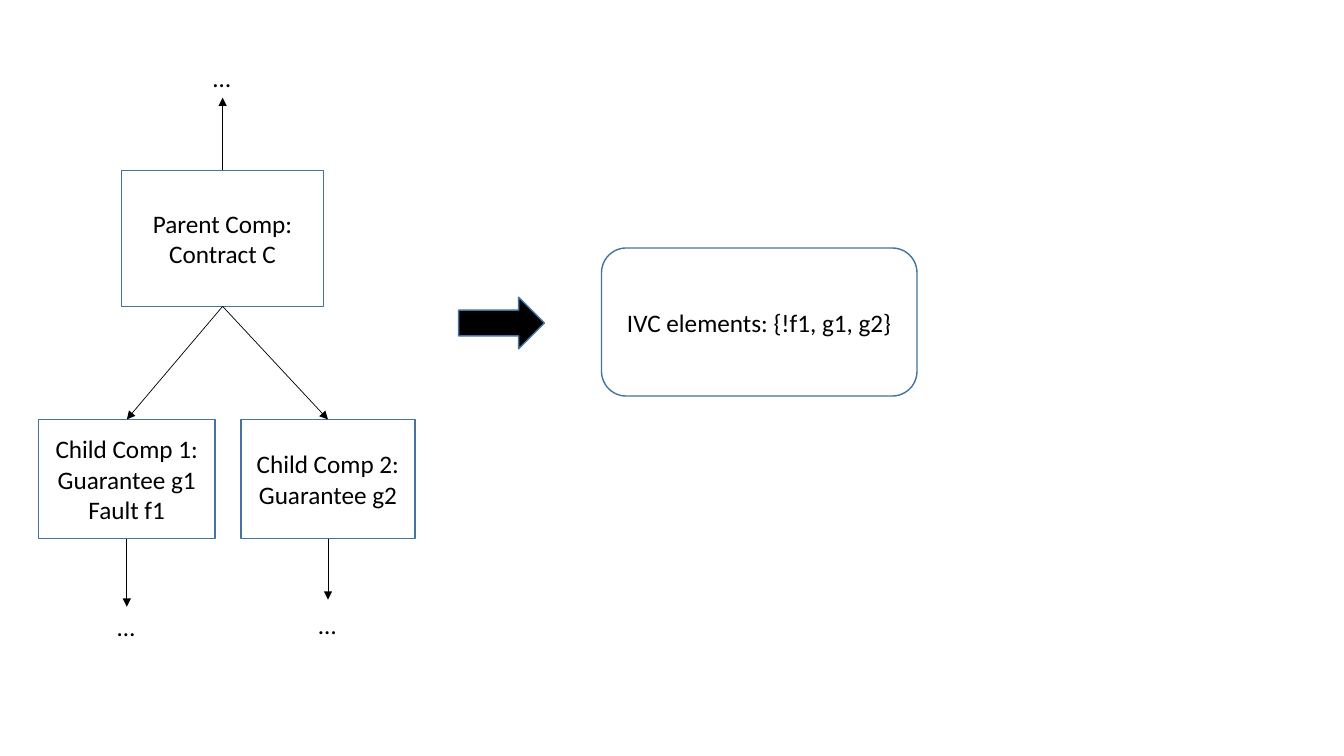
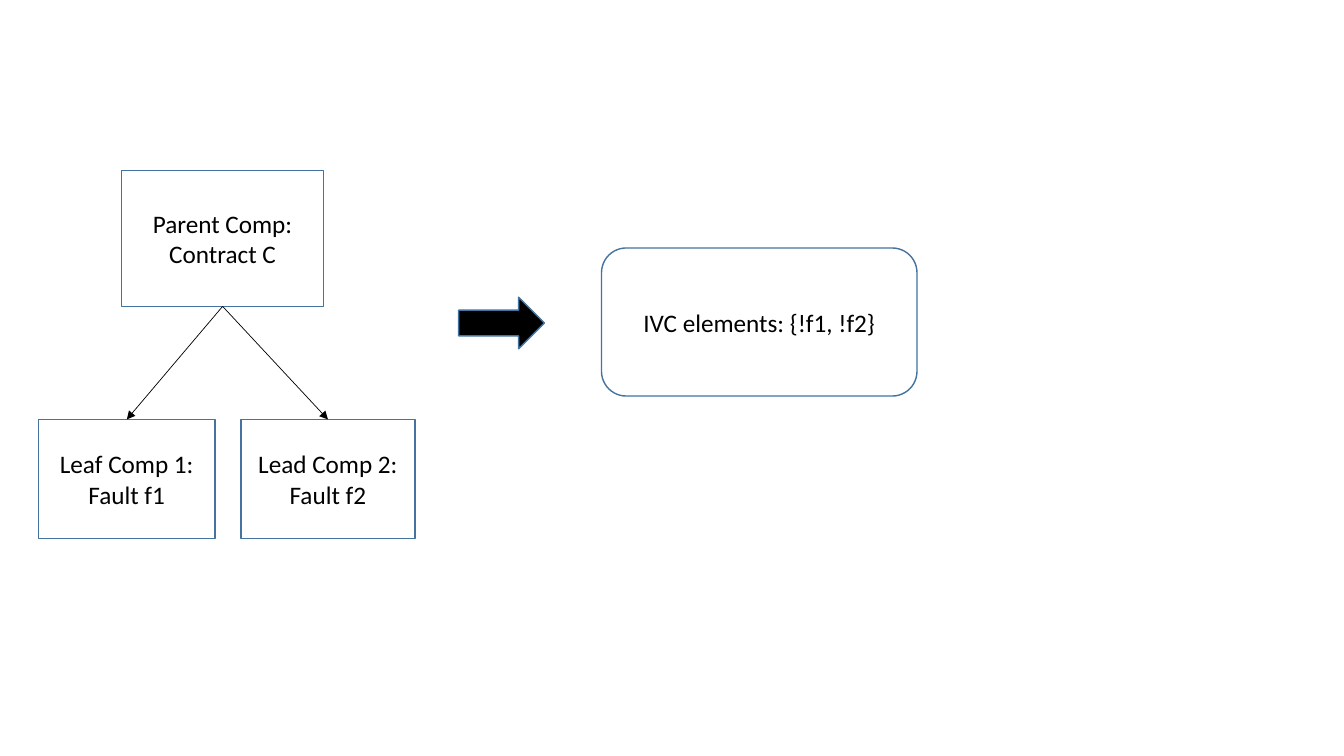
"""Build two slides that map component trees to their IVC elements."""
from lxml import etree
from pptx import Presentation
from pptx.dml.color import RGBColor
from pptx.enum.shapes import MSO_CONNECTOR, MSO_SHAPE
from pptx.enum.text import MSO_ANCHOR, MSO_AUTO_SIZE, PP_ALIGN
from pptx.oxml.ns import qn
from pptx.util import Cm, Pt

RECTANGLE = MSO_SHAPE.RECTANGLE
ROUNDED = MSO_SHAPE.ROUNDED_RECTANGLE
RIGHT_ARROW = MSO_SHAPE.RIGHT_ARROW
STRAIGHT = MSO_CONNECTOR.STRAIGHT
MIDDLE = MSO_ANCHOR.MIDDLE
CENTER = PP_ALIGN.CENTER
FIT_TEXT = MSO_AUTO_SIZE.SHAPE_TO_FIT_TEXT
TOP, BOTTOM = 0, 2

COLORS = {"ink": "000000", "outline": "43739E"}
FONT = "Calibri"
TEXT_SIZE = Pt(18)
PARENT_TEXT = ["Parent Comp:", "Contract C"]
CHILD_TOP, CHILD_HEIGHT = 10.57, 3.0
CHILD_SPANS = [(0.97, 4.45), (6.07, 4.39)]
ELLIPSIS_WIDTH, ELLIPSIS_HEIGHT = 0.97, 1.02

TREES = [
    {
        "children": [
            ["Child Comp 1:", "Guarantee g1", "Fault f1"],
            ["Child Comp 2:", "Guarantee g2"],
        ],
        "ivc": "IVC elements: {!f1, g1, g2}",
        "above": (2.46, 1.45),
        "below": [(15.29, 15.29), (15.11, 15.24)],
    },
    {
        "children": [["Leaf Comp 1:", "Fault f1"], ["Lead Comp 2:", "Fault f2"]],
        "ivc": "IVC elements: {!f1, !f2}",
        "above": None,
        "below": [],
    },
]


def add_block(slide, preset, left, top, width, height, lines=(), fill=None):
    block = slide.shapes.add_shape(preset, Cm(left), Cm(top), Cm(width), Cm(height))
    block.shadow.inherit = False
    if fill:
        block.fill.solid()
        block.fill.fore_color.rgb = RGBColor.from_string(COLORS[fill])
    else:
        block.fill.background()
    block.line.color.rgb = RGBColor.from_string(COLORS["outline"])
    block.line.width = Pt(1)
    frame = block.text_frame
    frame.vertical_anchor = MIDDLE
    for index, line in enumerate(lines):
        paragraph = frame.add_paragraph() if index else frame.paragraphs[0]
        paragraph.alignment = CENTER
        run = paragraph.add_run()
        run.text = line
        run.font.name = FONT
        run.font.size = TEXT_SIZE
        run.font.color.rgb = RGBColor.from_string(COLORS["ink"])
    return block


def add_branch(slide, source, site, target=None, tip=None, ellipsis_top=None):
    middle = source.left + source.width // 2
    end_y = target.top if target else Cm(tip)
    branch = slide.shapes.add_connector(STRAIGHT, middle, source.top, middle, end_y)
    branch.begin_connect(source, site)
    if target:
        branch.end_connect(target, TOP)
    branch.line.color.rgb = RGBColor.from_string(COLORS["ink"])
    branch.line.width = Pt(0.5)
    properties = branch._element.spPr
    etree.SubElement(properties.find(qn("a:ln")), qn("a:tailEnd"), type="triangle")
    etree.SubElement(properties, qn("a:effectLst"))
    if ellipsis_top is not None:
        ellipsis = slide.shapes.add_textbox(
            middle - Cm(ELLIPSIS_WIDTH) // 2, Cm(ellipsis_top),
            Cm(ELLIPSIS_WIDTH), Cm(ELLIPSIS_HEIGHT))
        ellipsis.text_frame.word_wrap = False
        ellipsis.text_frame.auto_size = FIT_TEXT
        run = ellipsis.text_frame.paragraphs[0].add_run()
        run.text = "…"
        run.font.name = FONT
        run.font.size = TEXT_SIZE
        run.font.color.rgb = RGBColor.from_string(COLORS["ink"])


deck = Presentation()
deck.slide_width, deck.slide_height = Cm(33.87), Cm(19.05)
blank = deck.slide_layouts[6]

for tree in TREES:
    slide = deck.slides.add_slide(blank)
    parent = add_block(slide, RECTANGLE, 3.07, 4.29, 5.08, 3.43, PARENT_TEXT)
    children = [
        add_block(slide, RECTANGLE, left, CHILD_TOP, width, CHILD_HEIGHT, lines)
        for (left, width), lines in zip(CHILD_SPANS, tree["children"])
    ]
    for child in children:
        add_branch(slide, parent, BOTTOM, target=child)
    if tree["above"]:
        tip, ellipsis_top = tree["above"]
        add_branch(slide, parent, TOP, tip=tip, ellipsis_top=ellipsis_top)
    for child, (tip, ellipsis_top) in zip(children, tree["below"]):
        add_branch(slide, child, BOTTOM, tip=tip, ellipsis_top=ellipsis_top)
    add_block(slide, RIGHT_ARROW, 11.56, 7.49, 2.16, 1.3, fill="ink")
    add_block(slide, ROUNDED, 15.16, 6.25, 7.95, 3.73, [tree["ivc"]])

deck.save("out.pptx")
